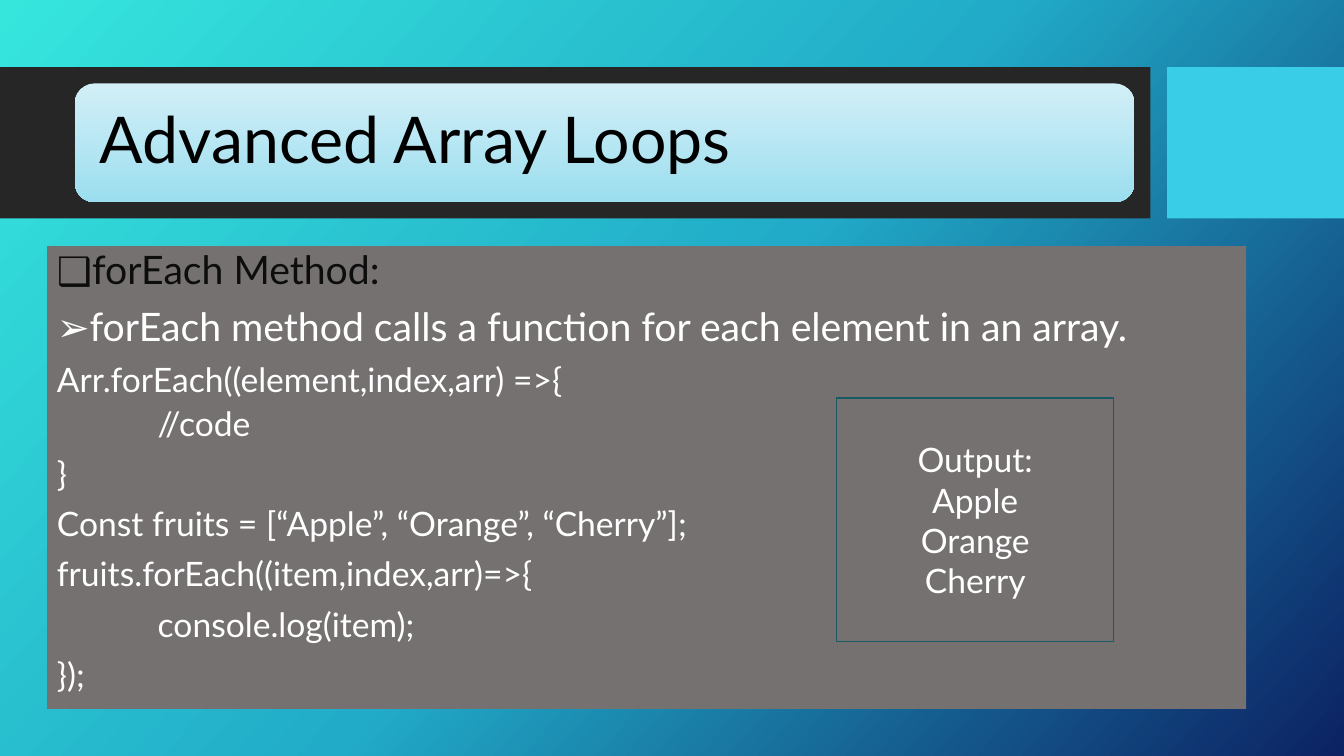
from copy import deepcopy

from lxml.etree import SubElement
from pptx import Presentation
from pptx.dml.color import RGBColor
from pptx.enum.shapes import MSO_SHAPE as Shape
from pptx.enum.text import MSO_ANCHOR as Anchor, PP_ALIGN as Align
from pptx.oxml.ns import qn
from pptx.util import Pt

BLACK = RGBColor(0x00, 0x00, 0x00)
WHITE = RGBColor(0xFF, 0xFF, 0xFF)
INK = RGBColor(0x0D, 0x0D, 0x0D)
BAND = RGBColor(0x26, 0x26, 0x26)
ACCENT = RGBColor(0x39, 0xCD, 0xE7)
PANEL = RGBColor(0x76, 0x71, 0x71)
OUTLINE = RGBColor(0x19, 0x5A, 0x65)
PLATE = [RGBColor(0xD2, 0xEF, 0xF7), RGBColor(0x9C, 0xDE, 0xEF)]
BACKDROP = [RGBColor(0x36, 0xE6, 0xDD), RGBColor(0x21, 0xAB, 0xC8), RGBColor(0x0C, 0x22, 0x63)]


def set_gradient(fill, colors, angle):
    fill.gradient()
    fill.gradient_angle = angle
    stop_list = fill._fill._gradFill.find(qn("a:gsLst"))
    while len(stop_list) < len(colors):
        stop_list.append(deepcopy(stop_list[0]))
    for index, (stop, color) in enumerate(zip(fill.gradient_stops, colors)):
        stop.position = index / (len(colors) - 1)
        stop.color.rgb = color


def add_text(frame, text, size=24, color=WHITE, align=Align.LEFT, spacing=0.9,
             before=0, margin=0, indent=0, bullet=None):
    first = not frame.paragraphs[0].runs
    paragraph = frame.paragraphs[0] if first else frame.add_paragraph()
    properties = paragraph._p.get_or_add_pPr()
    properties.set("marL", str(Pt(margin)))
    properties.set("indent", str(Pt(indent)))
    if bullet:
        SubElement(properties, qn("a:buFont")).set("typeface", "Lato")
        SubElement(properties, qn("a:buChar")).set("char", bullet)
    paragraph.alignment = align
    paragraph.line_spacing = spacing
    paragraph.space_before = Pt(0 if first else before)
    run = paragraph.add_run()
    run.text = text
    run.font.name = "Lato"
    run.font.size = Pt(size)
    run.font.color.rgb = color


presentation = Presentation()
presentation.slide_width = Pt(960)
presentation.slide_height = Pt(540)
slide = presentation.slides.add_slide(presentation.slide_layouts[6])
set_gradient(slide.background.fill, BACKDROP, 318)

blocks = []
for kind, box, color in [
    (Shape.RECTANGLE, (0, 48, 821.8, 108), BAND),
    (Shape.RECTANGLE, (833.6, 48, 126.4, 108), ACCENT),
    (Shape.ROUNDED_RECTANGLE, (53.4, 59.6, 757, 84.8), None),
    (Shape.RECTANGLE, (33.6, 175.8, 856.6, 330.6), PANEL),
    (Shape.RECTANGLE, (597.6, 284.4, 198, 174), PANEL),
]:
    shape = slide.shapes.add_shape(kind, *map(Pt, box))
    shape.shadow.inherit = False
    shape.line.fill.background()
    if color:
        shape.fill.solid()
        shape.fill.fore_color.rgb = color
    else:
        set_gradient(shape.fill, PLATE, 270)
    blocks.append(shape)
content_panel, output_box = blocks[-2:]

title = slide.shapes.add_textbox(Pt(57.6), Pt(63.4), Pt(748.8), Pt(76.4)).text_frame
title.word_wrap = True
title.vertical_anchor = Anchor.MIDDLE
title.margin_left = title.margin_right = Pt(13.8)
title.margin_top = title.margin_bottom = Pt(13.8)
add_text(title, "Advanced Array Loops", size=46, color=BLACK)

content = content_panel.text_frame
content.word_wrap = True
content.vertical_anchor = Anchor.TOP
heading = dict(size=28, before=10, margin=18, indent=-18)
add_text(content, "forEach Method:", color=INK, bullet="❑", **heading)
add_text(content, "forEach method calls a function for each element in an array.", bullet="➢", **heading)
for line, before, margin in [
    ("Arr.forEach((element,index,arr) =>{", 10, 0),
    ("//code", 5, 72),
    ("}", 10, 0),
    ("Const fruits = [“Apple”, “Orange”, “Cherry”];", 10, 0),
    ("fruits.forEach((item,index,arr)=>{", 10, 0),
    ("console.log(item);", 10, 72),
    ("});", 10, 0),
]:
    add_text(content, line, before=before, margin=margin)

output_box.line.color.rgb = OUTLINE
output_box.line.width = Pt(1)
output_box.text_frame.word_wrap = True
output_box.text_frame.vertical_anchor = Anchor.MIDDLE
for line in ["Output:", "Apple", "Orange", "Cherry"]:
    add_text(output_box.text_frame, line, align=Align.CENTER, spacing=1.0)

presentation.save("out.pptx")
